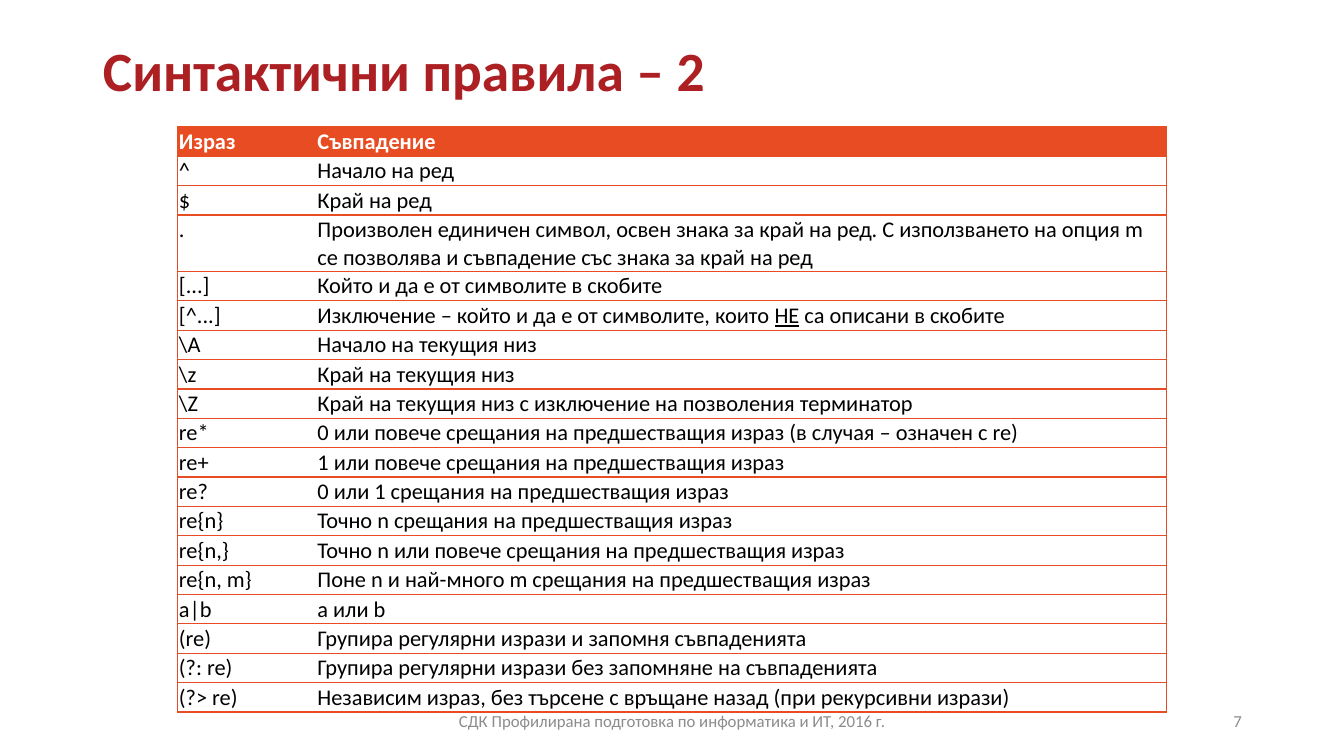
from dataclasses import dataclass

from lxml import etree
from pptx import Presentation
from pptx.dml.color import RGBColor
from pptx.enum import text
from pptx.oxml import ns
from pptx.util import Cm, Pt


@dataclass(frozen=True)
class Theme:
    font: str = "Calibri"
    title: str = "AC1F23"
    line: str = "E84C22"
    paper: str = "FFFFFF"
    ink: str = "000000"
    muted: str = "8C8C8C"
    head_size: float = 39.6
    cell_size: float = 16
    foot_size: float = 12


THEME = Theme()
ROW_HIGH, TALL_HIGH = Cm(0.74), Cm(1.42)
TALL_ROW = 3
RULES = [
    ("Израз", "Съвпадение"),
    ("^", "Начало на ред"),
    ("$", "Край на ред"),
    (".", "Произволен единичен символ, освен знака за край на ред. "
          "С използването на опция m се позволява и съвпадение със знака за край на ред"),
    ("[...]", "Който и да е от символите в скобите"),
    ("[^...]", ("Изключение – който и да е от символите, които ", "НЕ",
                " са описани в скобите")),
    ("\\A", "Начало на текущия низ"),
    ("\\z", "Край на текущия низ"),
    ("\\Z", "Край на текущия низ с изключение на позволения терминатор"),
    ("re*", "0 или повече срещания на предшестващия израз (в случая – означен с re)"),
    ("re+", "1 или повече срещания на предшестващия израз"),
    ("re?", "0 или 1 срещания на предшестващия израз"),
    ("re{n}", "Точно n срещания на предшестващия израз"),
    ("re{n,}", "Точно n или повече срещания на предшестващия израз"),
    ("re{n, m}", "Поне n и най-много m срещания на предшестващия израз"),
    ("a|b", "a или b"),
    ("(re)", "Групира регулярни изрази и запомня съвпаденията"),
    ("(?: re)", "Групира регулярни изрази без запомняне на съвпаденията"),
    ("(?> re)", "Независим израз, без търсене с връщане назад (при рекурсивни изрази)"),
]


def apply(item, **values):
    for name, value in values.items():
        setattr(item, name, value)


def write(frame, words, size, color, bold=False, **para):
    """Fill the first paragraph; in a tuple, every second part is underlined."""
    line = frame.paragraphs[0]
    apply(line, **para)
    parts = (words,) if isinstance(words, str) else words
    for index, part in enumerate(parts):
        run = line.add_run()
        run.text = part
        apply(run.font, name=THEME.font, size=Pt(size), bold=bold,
              underline=index % 2 == 1)
        run.font.color.rgb = RGBColor.from_string(color)


def add_title(slide, words):
    title = slide.shapes.title
    apply(title, left=Cm(2.34), top=Cm(1.02), width=Cm(29.2), height=Cm(1.65))
    apply(title.text_frame, word_wrap=True, auto_size=text.MSO_AUTO_SIZE.NONE,
          vertical_anchor=text.MSO_ANCHOR.MIDDLE)
    write(title.text_frame, words, THEME.head_size, THEME.title, True,
          alignment=text.PP_ALIGN.LEFT, line_spacing=0.9)


def add_foot(slide, words, left, width, align):
    box = slide.shapes.add_textbox(left, Cm(17.65), width, Cm(1.02))
    apply(box.text_frame, word_wrap=True,
          vertical_anchor=text.MSO_ANCHOR.MIDDLE)
    write(box.text_frame, words, THEME.foot_size, THEME.muted, alignment=align)


def add_edges(cell, sides):
    """Draw the named sides of a cell and clear the others."""
    props = cell._tc.get_or_add_tcPr()
    for side in "LRTB":
        edge = etree.SubElement(props, ns.qn(f"a:ln{side}"), w=str(Pt(1)))
        if side in sides:
            fill = etree.SubElement(edge, ns.qn("a:solidFill"))
            etree.SubElement(fill, ns.qn("a:srgbClr"), val=THEME.line)
        else:
            etree.SubElement(edge, ns.qn("a:noFill"))


def fill_cell(cell, words, sides, head):
    apply(cell, **dict.fromkeys(
        ("margin_left", "margin_right", "margin_top", "margin_bottom"), Cm(0.03)))
    add_edges(cell, sides)
    cell.fill.solid()
    cell.fill.fore_color.rgb = RGBColor.from_string(
        THEME.line if head else THEME.paper)
    write(cell.text_frame, words, THEME.cell_size,
          THEME.paper if head else THEME.ink, head)


def add_rules(slide):
    widths = (Cm(3.49), Cm(21.43))
    high = ROW_HIGH * (len(RULES) - 1) + TALL_HIGH
    table = slide.shapes.add_table(
        len(RULES), len(widths), Cm(4.48), Cm(3.2), sum(widths), high).table
    table.horz_banding = False
    for column, width in zip(table.columns, widths):
        column.width = width
    for index, (row, rule) in enumerate(zip(table.rows, RULES)):
        row.height = TALL_HIGH if index == TALL_ROW else ROW_HIGH
        for cell, words, sides in zip(row.cells, rule, ("LTB", "RTB")):
            fill_cell(cell, words, sides, index == 0)


def main():
    deck = Presentation()
    apply(deck, slide_width=Cm(33.87), slide_height=Cm(19.05))
    slide = deck.slides.add_slide(deck.slide_layouts.get_by_name("Title Only"))
    add_title(slide, "Синтактични правила – 2")
    add_foot(slide, "СДК Профилирана подготовка по информатика и ИТ, 2016 г.",
             Cm(11.23), Cm(11.43), text.PP_ALIGN.CENTER)
    add_foot(slide, "7", Cm(23.93), Cm(7.62), text.PP_ALIGN.RIGHT)
    add_rules(slide)
    deck.save("out.pptx")


if __name__ == "__main__":
    main()
